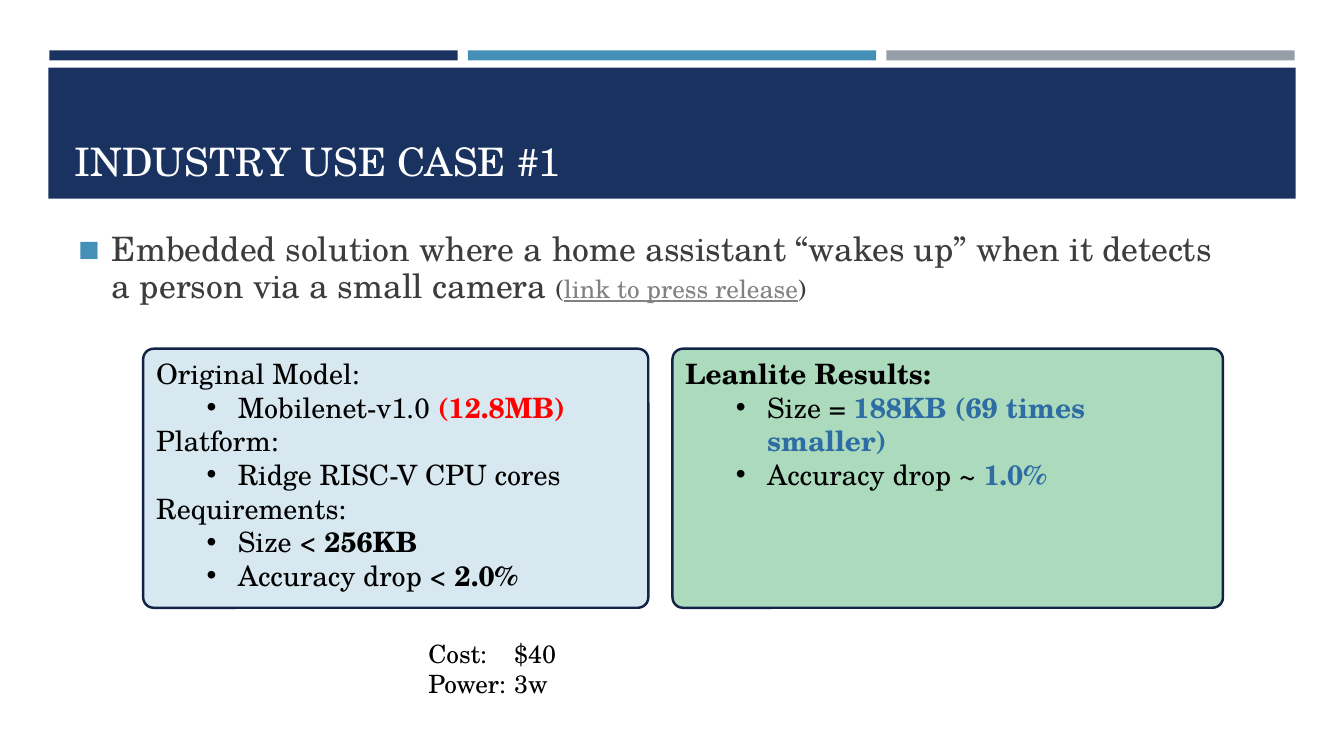
from lxml.etree import SubElement
from pptx import Presentation
from pptx.dml.color import RGBColor
from pptx.enum.shapes import MSO_SHAPE
from pptx.enum.text import MSO_ANCHOR, MSO_AUTO_SIZE, PP_ALIGN
from pptx.oxml.ns import qn
from pptx.util import Inches, Pt

FONT = "TeX Gyre Schola"
NAVY = RGBColor(0x1A, 0x32, 0x60)
OUTLINE = RGBColor(0x12, 0x24, 0x46)
BLUE = RGBColor(0x45, 0x90, 0xB8)
GRAY = RGBColor(0x96, 0x9F, 0xA7)
LINK_GRAY = RGBColor(0x82, 0x82, 0x82)
TEXT_GRAY = RGBColor(0x3D, 0x3D, 0x3D)
PALE_BLUE = RGBColor(0xD8, 0xE8, 0xF0)
GREEN = RGBColor(0xAC, 0xDA, 0xBD)
RESULT_BLUE = RGBColor(0x2E, 0x6C, 0xA4)
RED = RGBColor(0xFF, 0x00, 0x00)
BLACK = RGBColor(0x00, 0x00, 0x00)
WHITE = RGBColor(0xFF, 0xFF, 0xFF)


def add_span(para, text, size, color, bold=False):
    span = para.add_run()
    span.text = text
    span.font.name = FONT
    span.font.size = Pt(size)
    span.font.bold = bold
    span.font.color.rgb = color
    return span


def add_bullet(para, symbol, color, margin, hanging):
    """Give the paragraph a coloured bullet with a hanging indent in inches."""
    properties = para._p.get_or_add_pPr()
    properties.set("marL", str(Inches(margin)))
    properties.set("indent", str(-Inches(hanging)))
    bullet_color = SubElement(properties, qn("a:buClr"))
    SubElement(bullet_color, qn("a:srgbClr"), val=str(color))
    SubElement(properties, qn("a:buFont"), typeface="Arial")
    SubElement(properties, qn("a:buChar"), char=symbol)


deck = Presentation()
deck.slide_width, deck.slide_height = Inches(13.33), Inches(7.5)
page = deck.slides.add_slide(deck.slide_layouts[1])

# Header bars and title band
bands = [(0.49 + 4.15 * column, 0.5, 4.05, 0.1, color)
         for column, color in enumerate((NAVY, BLUE, GRAY))]
bands.append((0.48, 0.67, 12.37, 1.3, NAVY))
for left, top, width, height, color in bands:
    band = page.shapes.add_shape(MSO_SHAPE.RECTANGLE, Inches(left), Inches(top),
                                 Inches(width), Inches(height))
    band.shadow.inherit = False
    band.fill.solid()
    band.fill.fore_color.rgb = color
    band.line.fill.background()

# Title and introduction; moved to the front of the bands
title, body = page.shapes.title, page.placeholders[1]
placements = (
    (title, 0.64, 0.77, 12.06, 1.11, MSO_ANCHOR.BOTTOM),
    (body, 0.68, 2.24, 11.5, 0.86, MSO_ANCHOR.MIDDLE),
)
for holder, left, top, width, height, anchor in placements:
    holder.left, holder.top = Inches(left), Inches(top)
    holder.width, holder.height = Inches(width), Inches(height)
    holder.text_frame.auto_size = MSO_AUTO_SIZE.NONE
    holder.text_frame.vertical_anchor = anchor
    page.shapes._spTree.append(holder._element)

heading = title.text_frame.paragraphs[0]
heading.alignment = PP_ALIGN.LEFT
add_span(heading, "INDUSTRY USE CASE #1", 28, WHITE)

intro = body.text_frame.paragraphs[0]
add_bullet(intro, "◼", BLUE, 0.33, 0.33)
intro.line_spacing = 0.9
intro.space_before = Pt(0)
add_span(intro, "Embedded solution where a home assistant “wakes up” when it detects "
                "a person via a small camera ", 24, TEXT_GRAY)
add_span(intro, "(", 18, TEXT_GRAY)
add_span(intro, "link to press release", 18, LINK_GRAY).font.underline = True
add_span(intro, ")", 18, TEXT_GRAY)

# Panels: each line is (is bullet, plain text, bold text, bold colour)
model_lines = (
    (False, "Original Model:", "", BLACK),
    (True, "Mobilenet-v1.0 ", "(12.8MB)", RED),
    (False, "Platform:", "", BLACK),
    (True, "Ridge RISC-V CPU cores", "", BLACK),
    (False, "Requirements:", "", BLACK),
    (True, "Size < ", "256KB", BLACK),
    (True, "Accuracy drop < ", "2.0%", BLACK),
)
result_lines = (
    (False, "", "Leanlite Results:", BLACK),
    (True, "Size = ", "188KB (69 times smaller)", RESULT_BLUE),
    (True, "Accuracy drop ~ ", "1.0%", RESULT_BLUE),
)
panels = ((1.42, 5.01, PALE_BLUE, model_lines), (6.67, 5.46, GREEN, result_lines))
for left, width, color, lines in panels:
    panel = page.shapes.add_shape(MSO_SHAPE.ROUNDED_RECTANGLE, Inches(left), Inches(3.46),
                                  Inches(width), Inches(2.57))
    panel.adjustments[0] = 0.04
    panel.shadow.inherit = False
    panel.fill.solid()
    panel.fill.fore_color.rgb = color
    panel.line.color.rgb = OUTLINE
    panel.line.width = Pt(1.75)
    frame = panel.text_frame
    frame.word_wrap = True
    frame.vertical_anchor = MSO_ANCHOR.TOP
    for index, (is_bullet, plain, strong, strong_color) in enumerate(lines):
        para = frame.add_paragraph() if index else frame.paragraphs[0]
        para.alignment = PP_ALIGN.LEFT
        if is_bullet:
            para.level = 1
            add_bullet(para, "•", BLACK, 0.81, 0.31)
        if plain:
            add_span(para, plain, 20, BLACK)
        if strong:
            add_span(para, strong, 20, strong_color, bold=True)

# Cost and power, with the values lined up at a tab stop
budget = page.shapes.add_textbox(Inches(4.15), Inches(6.28), Inches(1.5), Inches(0.71))
budget.text_frame.word_wrap = True
for index, text in enumerate(("Cost:\t$40", "Power:\t3w")):
    para = budget.text_frame.add_paragraph() if index else budget.text_frame.paragraphs[0]
    tabs = SubElement(para._p.get_or_add_pPr(), qn("a:tabLst"))
    SubElement(tabs, qn("a:tab"), pos=str(Inches(0.85)), algn="l")
    add_span(para, text, 18, BLACK)

deck.save("out.pptx")
